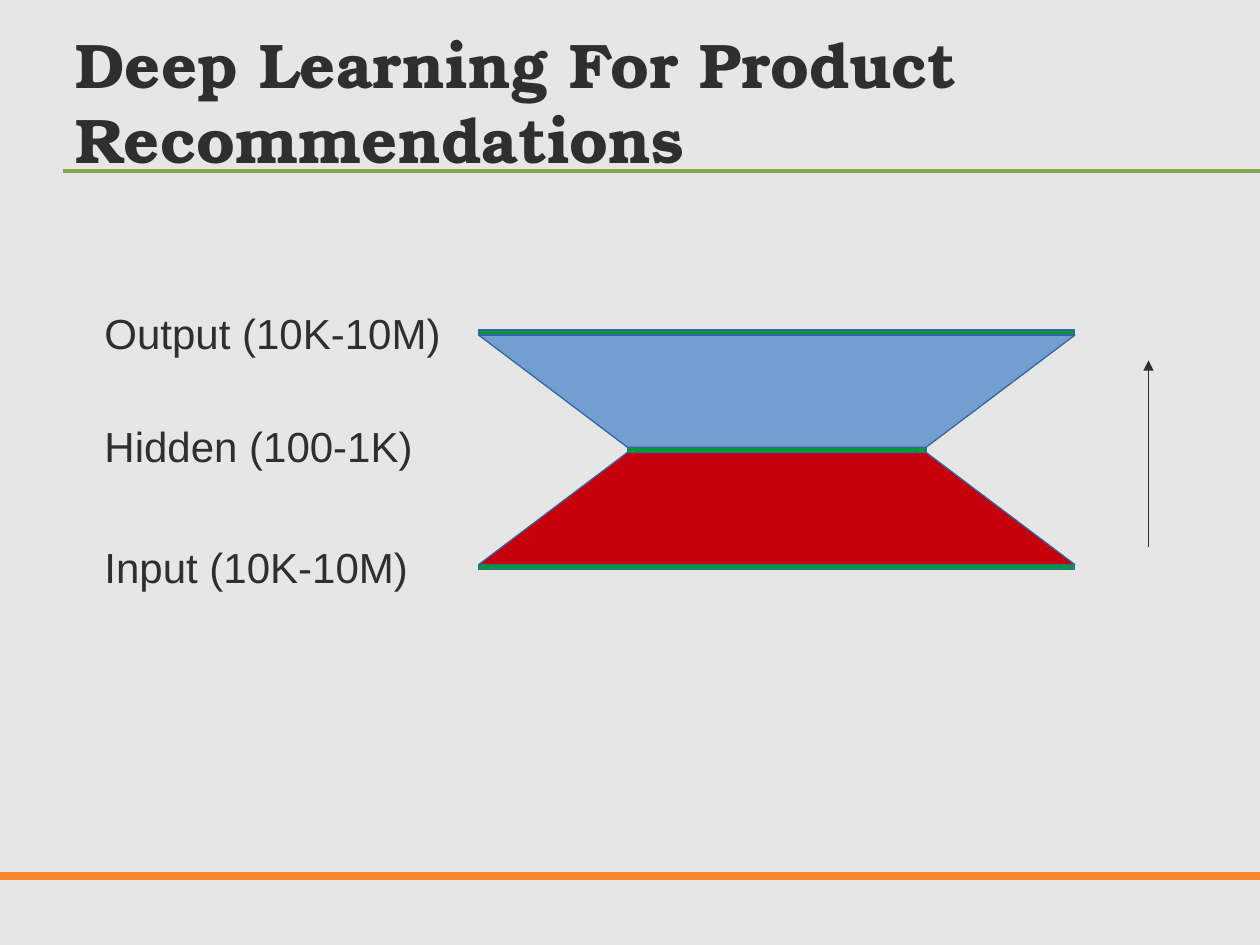
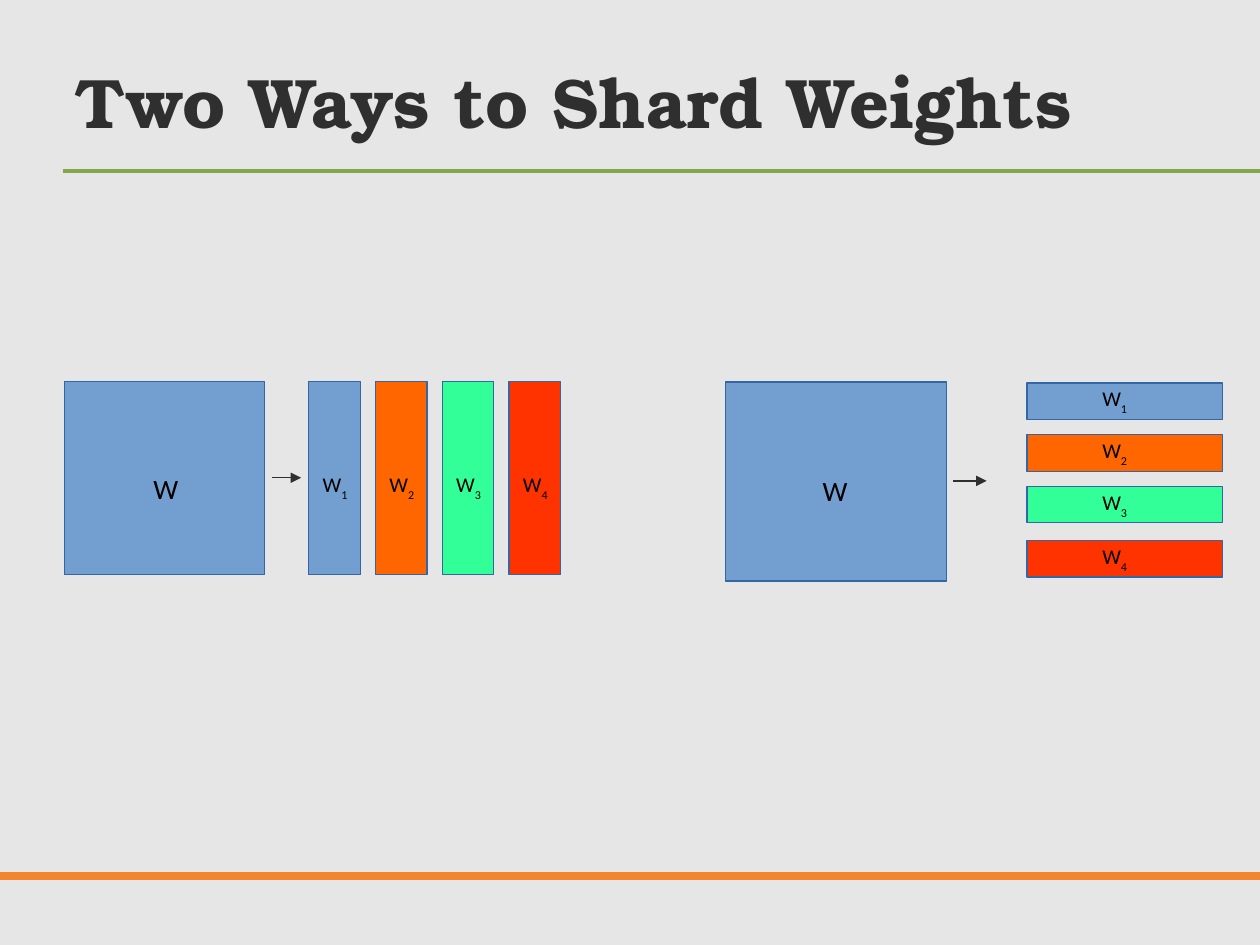
from lxml import etree
from pptx import Presentation
from pptx.dml.color import RGBColor
from pptx.enum.shapes import MSO_CONNECTOR, MSO_SHAPE
from pptx.enum.text import MSO_ANCHOR
from pptx.oxml.ns import qn
from pptx.util import Pt

RECT = MSO_SHAPE.RECTANGLE
LINE = MSO_CONNECTOR.STRAIGHT
MIDDLE, TOP = MSO_ANCHOR.MIDDLE, MSO_ANCHOR.TOP

COLORS = {
    "back": "E6E6E6", "ink": "2F2F2F", "black": "000000",
    "rule": "82A74C", "foot": "F3852E", "edge": "3465A4",
    "blue": "729FCF", "crimson": "C5000B", "layer": "009933",
    "orange": "FF6600", "mint": "33FF99", "red": "FF3300",
}
SHARDS = ["blue", "orange", "mint", "red"]
INSETS = {"margin_left": Pt(7.2), "margin_right": Pt(7.2),
          "margin_top": Pt(4.3), "margin_bottom": Pt(3.6)}
TITLE = {"name": "TeX Gyre Bonum", "bold": True}
LABEL = {"name": "Arial", "size": Pt(24)}
WHOLE = {"name": "Calibri", "size": Pt(16)}
SHARD = {"name": "Calibri", "size": Pt(12)}


def color(name):
    return RGBColor.from_string(COLORS[name])


def apply(target, values):
    for key, value in values.items():
        setattr(target, key, value)


def paint(shape, fill):
    shape.shadow.inherit = False
    shape.fill.solid()
    shape.fill.fore_color.rgb = color(fill)
    shape.line.color.rgb = color("edge")
    shape.line.width = Pt(0.75)


def box(shapes, left, top, width, height, fill):
    paint(shapes.add_shape(RECT, Pt(left), Pt(top), Pt(width), Pt(height)), fill)


def outline(shapes, points, fill):
    start, *rest = [(Pt(x), Pt(y)) for x, y in points]
    builder = shapes.build_freeform(*start)
    builder.add_line_segments(rest, close=True)
    paint(builder.convert_to_shape(), fill)


def line(shapes, x1, y1, x2, y2, ink="ink", width=0.75, arrow=False):
    stroke = shapes.add_connector(LINE, Pt(x1), Pt(y1), Pt(x2), Pt(y2))
    stroke.line.color.rgb = color(ink)
    stroke.line.width = Pt(width)
    if arrow:
        etree.SubElement(stroke.line._get_or_add_ln(), qn("a:tailEnd"), type="triangle")
    etree.SubElement(stroke._element.spPr, qn("a:effectLst"))


def text(shapes, words, left, top, width, height, font, ink="ink",
         sub="", spacing=None, wrap=False, anchor=TOP):
    """Add a text box; sub is an optional subscript after the words."""
    frame = shapes.add_textbox(Pt(left), Pt(top), Pt(width), Pt(height)).text_frame
    apply(frame, INSETS | {"word_wrap": wrap, "vertical_anchor": anchor})
    para = frame.paragraphs[0]
    para.line_spacing = spacing
    for part in filter(None, [words, sub]):
        run = para.add_run()
        run.text = part
        apply(run.font, font)
        run.font.color.rgb = color(ink)
    if sub:
        run.font._element.set("baseline", "-33000")


def page(deck, title, size):
    """Add a slide with the shared background, rules and title."""
    slide = deck.slides.add_slide(deck.slide_layouts[6])
    slide.background.fill.solid()
    slide.background.fill.fore_color.rgb = color("back")
    line(slide.shapes, 36, 97.9, 720, 97.9, "rule", 2.25)
    line(slide.shapes, 0, 500.4, 720, 500.4, "foot", 4.5)
    text(slide.shapes, title, 36, 17, 648, 80.6, TITLE | {"size": Pt(size)},
         wrap=True, anchor=MIDDLE)
    return slide


def group(slide):
    return slide.shapes.add_group_shape().shapes


def network(shapes):
    wide, narrow, thick = (273.6, 614.2), (358.6, 529.2), 2.9
    tops = [188.6 + 67 * i for i in range(3)]
    spans = [wide, narrow, wide]
    for i, fill in enumerate(["blue", "crimson"]):
        upper, lower = tops[i] + thick, tops[i + 1]
        (a, b), (c, d) = spans[i], spans[i + 1]
        outline(shapes, [(a, upper), (c, lower), (d, lower), (b, upper)], fill)
    line(shapes, 656.3, 312.5, 656.3, 205.9, arrow=True)
    for top, (left, right) in zip(tops, spans):
        box(shapes, left, top, right - left, thick, "layer")
    for words, top in [("Output (10K-10M)", 173.5),
                       ("Hidden (100-1K)", 238.3),
                       ("Input (10K-10M)", 307.4)]:
        text(shapes, words, 52.6, top, 214, 33.1, LABEL, spacing=0.94)


def matrix(shapes, left, width, height, tip, label):
    """Draw the whole weight matrix and the arrow to its shards."""
    top = 218.2
    box(shapes, left, top, width, height, "blue")
    middle = top + height / 2 - 0.3
    line(shapes, left + width + 4, middle, tip, middle, arrow=True)
    text(shapes, "W", *label, 29.5, 25.2, WHOLE, "black")


def columns(shapes):
    matrix(shapes, 36.7, 114.5, 110.2, 172.1, (80.6, 265))
    for i, fill in enumerate(SHARDS):
        left = 176.4 + 38.16 * i
        box(shapes, left, 218.2, 29.5, 110.2, fill)
        text(shapes, "W", left + 0.9, 265, 29.5, 26.6, SHARD, "black", sub=str(i + 1))


def rows(shapes):
    matrix(shapes, 414.7, 126, 113.8, 563.8, (463, 266.4))
    tops = [218.9, 248.4, 277.9, 308.9]
    for i, (fill, top) in enumerate(zip(SHARDS, tops), 1):
        box(shapes, 586.8, top, 111.6, 20.9, fill)
        text(shapes, "W", 622.8, top - 2.7, 31.7, 27.4, SHARD, "black", sub=str(i))


def main():
    deck = Presentation()
    deck.slide_width, deck.slide_height = Pt(720), Pt(540)
    network(group(page(deck, "Deep Learning For Product Recommendations", 36)))
    slide = page(deck, "Two Ways to Shard Weights", 40)
    columns(group(slide))
    rows(group(slide))
    deck.save("out.pptx")


if __name__ == "__main__":
    main()
